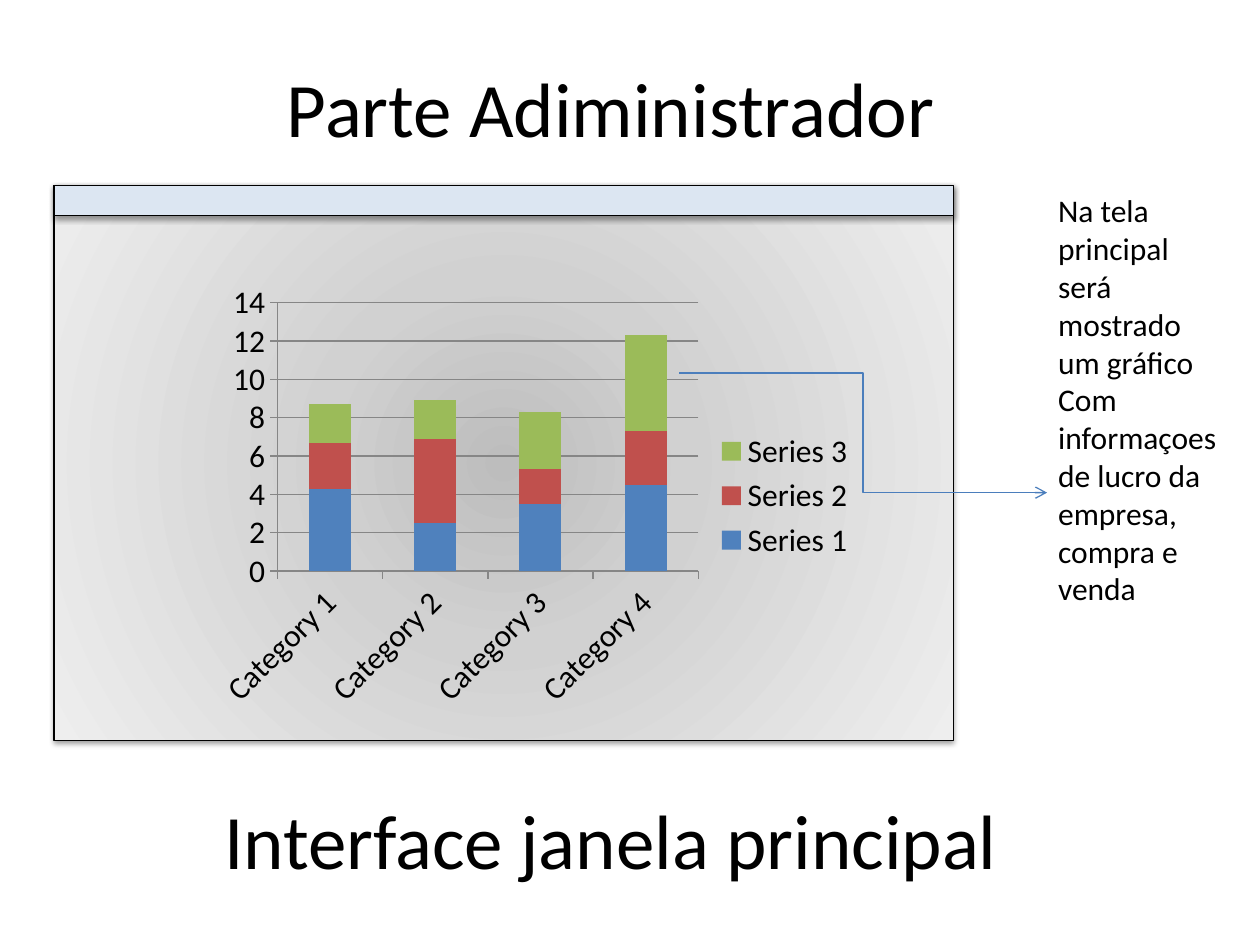
from lxml import etree
from pptx import Presentation
from pptx.chart.data import CategoryChartData
from pptx.dml.color import RGBColor
from pptx.enum.chart import XL_CHART_TYPE, XL_LEGEND_POSITION, XL_TICK_MARK
from pptx.enum.shapes import MSO_CONNECTOR, MSO_SHAPE
from pptx.enum.text import MSO_ANCHOR, PP_ALIGN
from pptx.oxml import parse_xml
from pptx.oxml.ns import nsdecls, qn
from pptx.util import Inches, Pt

COLORS = {
    "text": "000000", "border": "000000", "bar": "DCE6F2", "arrow": "4B7EBC",
    "grid": "868686", "Series 1": "4F81BD", "Series 2": "C0504D", "Series 3": "9BBB59",
}
WINDOW_STOPS = [(0, "BDBDBD"), (35, "D1D1D1"), (100, "EEEEEE")]


def rgb(name):
    return RGBColor.from_string(COLORS[name])


class SlideBuilder:
    font = "Calibri"
    line_width = Pt(0.75)

    def __init__(self, slide):
        self.slide = slide
        self.shapes = slide.shapes

    def style_font(self, font, size):
        font.name = self.font
        font.size = Pt(size)
        font.color.rgb = rgb("text")

    def text(self, box, paragraphs, size, align=PP_ALIGN.LEFT, anchor=MSO_ANCHOR.TOP):
        tf = self.shapes.add_textbox(*map(Inches, box)).text_frame
        tf.word_wrap = True
        tf.vertical_anchor = anchor
        tf.text = "\n".join(paragraphs)
        for p in tf.paragraphs:
            p.alignment = align
            for r in p.runs:
                self.style_font(r.font, size)

    def heading(self, top, text):
        self.text((0.35, top, 9, 1.25), [text], 44, PP_ALIGN.CENTER, MSO_ANCHOR.MIDDLE)

    def panel(self, box, fill=None, stops=None):
        sp = self.shapes.add_shape(MSO_SHAPE.RECTANGLE, *map(Inches, box))
        sp.line.color.rgb = rgb("border")
        sp.line.width = self.line_width
        if stops:
            self.radial_fill(sp, stops)
        else:
            sp.fill.solid()
            sp.fill.fore_color.rgb = rgb(fill)
        self.soft_shadow(sp)

    def radial_fill(self, sp, stops):
        gs = "".join(f'<a:gs pos="{pos * 1000}"><a:srgbClr val="{color}"/></a:gs>'
                     for pos, color in stops)
        grad = parse_xml(
            f'<a:gradFill {nsdecls("a")} rotWithShape="1"><a:gsLst>{gs}</a:gsLst>'
            '<a:path path="circle"><a:fillToRect l="50000" t="50000" r="50000" b="50000"/>'
            '</a:path></a:gradFill>')
        sp._element.spPr.find(qn("a:prstGeom")).addnext(grad)

    def soft_shadow(self, sp):
        sp._element.spPr.append(parse_xml(
            f'<a:effectLst {nsdecls("a")}><a:outerShdw blurRad="{Pt(3.1)}" dist="{Pt(1.6)}" '
            'dir="5400000" rotWithShape="0"><a:srgbClr val="000000">'
            '<a:alpha val="38000"/></a:srgbClr></a:outerShdw></a:effectLst>'))

    def elbow_arrow(self, start, end):
        cn = self.shapes.add_connector(MSO_CONNECTOR.ELBOW, *map(Inches, start + end))
        cn.line.color.rgb = rgb("arrow")
        cn.line.width = self.line_width
        etree.SubElement(cn.line._get_or_add_ln(), qn("a:tailEnd"), type="arrow")
        etree.SubElement(cn._element.spPr, qn("a:effectLst"))

    def stacked_chart(self, box, categories, series):
        data = CategoryChartData()
        data.categories = categories
        for name, values in series.items():
            data.add_series(name, values)
        chart = self.shapes.add_chart(
            XL_CHART_TYPE.COLUMN_STACKED, *map(Inches, box), data).chart
        self.style_font(chart.font, 18)
        chart.has_title = False
        chart.has_legend = True
        chart.legend.position = XL_LEGEND_POSITION.RIGHT
        chart.legend.include_in_layout = False

        plot = chart.plots[0]
        plot.gap_width, plot.overlap = 150, 100
        plot.vary_by_categories = False
        for ser in plot.series:
            ser.format.fill.solid()
            ser.format.fill.fore_color.rgb = rgb(ser.name)

        value_axis = chart.value_axis
        value_axis.has_major_gridlines = True
        for axis in (chart.category_axis, value_axis):
            axis.major_tick_mark = XL_TICK_MARK.OUTSIDE
            axis.minor_tick_mark = XL_TICK_MARK.NONE
        for part in (chart.category_axis, value_axis, value_axis.major_gridlines):
            part.format.line.color.rgb = rgb("grid")
            part.format.line.width = self.line_width
        # Slanted category labels
        self.style_font(chart.category_axis.tick_labels.font, 18)
        body = chart.category_axis._element.find(qn("c:txPr")).find(qn("a:bodyPr"))
        body.set("rot", "-2700000")
        body.set("vert", "horz")


def main():
    prs = Presentation()
    prs.slide_width, prs.slide_height = Inches(10), Inches(7.5)
    s = SlideBuilder(prs.slides.add_slide(prs.slide_layouts[6]))

    # Headings
    s.heading(0.22, "Parte Adiministrador")
    s.heading(6.03, "Interface janela principal")

    # Window with title bar
    s.panel((0.43, 1.47, 7.14, 4.41), stops=WINDOW_STOPS)
    s.panel((0.43, 1.47, 7.14, 0.24), fill="bar")

    # Profit chart
    s.stacked_chart(
        (1.63, 2.18, 5.26, 3.51),
        [f"Category {i}" for i in range(1, 5)],
        {"Series 1": (4.3, 2.5, 3.5, 4.5),
         "Series 2": (2.4, 4.4, 1.8, 2.8),
         "Series 3": (2, 2, 3, 5)})

    # Explanation
    s.elbow_arrow((5.39, 2.96), (8.31, 3.91))
    s.text((8.3, 1.47, 1.5, 3.43),
           ["Na tela principal será mostrado um gráfico",
            "Com informaçoes de lucro da empresa, compra e venda"], 18)

    prs.save("out.pptx")


if __name__ == "__main__":
    main()
